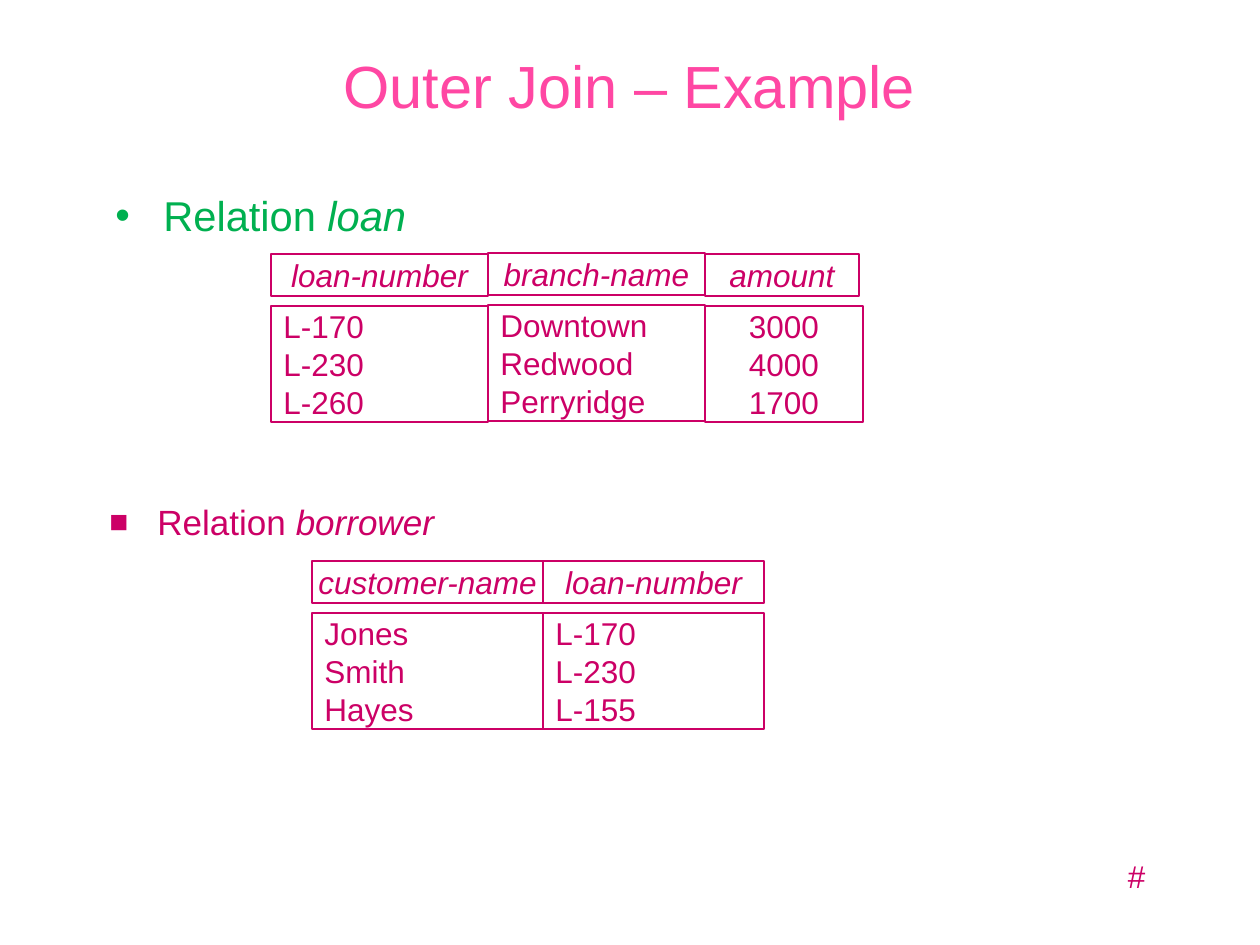
"""Build the outer join example slide with its two relations."""
from lxml.etree import SubElement
from pptx import Presentation
from pptx.dml.color import RGBColor
from pptx.enum.shapes import MSO_SHAPE as Shape
from pptx.enum.text import MSO_ANCHOR as Anchor, PP_ALIGN as Align
from pptx.oxml.ns import qn
from pptx.util import Pt

PX = 914400 / 126
ROSE, PINK, GREEN, WHITE = "CC0066", "FF47A3", "00B050", "FFFFFF"
LEFT, MID = Align.LEFT, Align.CENTER
HEAD_H, BODY_H, STEP = 42, 116, 52

TITLE = "Outer Join – Example"
BULLETS = [
    dict(at=(103, 184, 969, 67), name="loan", mark="•", part=100,
         color=GREEN, size=23.8, gap=7),
    dict(at=(97, 494, 969, 67), name="borrower", mark="■", part=90,
         color=ROSE, size=20, gap=8.8),
]
LOAN = [
    (271, 254, 217, 217, "loan-number", LEFT, ["L-170", "L-230", "L-260"]),
    (705, 254, 154, 158, "amount", MID, ["3000", "4000", "1700"]),
    (488, 253, 217, 217, "branch-name", LEFT,
     ["Downtown", "Redwood", "Perryridge"]),
]
BORROWER = [
    (312, 561, 231, 231, "customer-name", LEFT, ["Jones", "Smith", "Hayes"]),
    (543, 561, 221, 221, "loan-number", LEFT, ["L-170", "L-230", "L-155"]),
]


def rgb(code):
    return RGBColor.from_string(code)


def emu(*sizes):
    return [round(size * PX) for size in sizes]


def style(font, color, **form):
    font.color.rgb = rgb(color)
    for key, value in {"name": "Arial", **form}.items():
        setattr(font, key, value)


def add_cell(shapes, box, lines, align, italic=False):
    cell = shapes.add_shape(Shape.RECTANGLE, *emu(*box))
    cell.shadow.inherit = False
    cell.fill.solid()
    cell.fill.fore_color.rgb = rgb(WHITE)
    cell.line.color.rgb = rgb(ROSE)
    cell.line.width = Pt(0.75)
    frame = cell.text_frame
    frame.word_wrap = False
    frame.vertical_anchor = Anchor.MIDDLE
    frame.text = "\n".join(lines)
    for para in frame.paragraphs:
        para.alignment = align
        style(para.font, ROSE, size=Pt(18), italic=italic)


def add_bullet(shapes, at, name, mark, part, color, size, gap):
    frame = shapes.add_textbox(*emu(*at)).text_frame
    frame.word_wrap = True
    para = frame.paragraphs[0]
    props = para._p.get_or_add_pPr()
    indent = emu(48)[0]
    props.set("marL", str(indent))
    props.set("indent", str(-indent))
    tint = SubElement(props, qn("a:buClr"))
    SubElement(tint, qn("a:srgbClr"), val=color)
    SubElement(props, qn("a:buSzPct"), val=str(part * 1000))
    SubElement(props, qn("a:buFont"), typeface="Arial")
    SubElement(props, qn("a:buChar"), char=mark)
    para.space_before = Pt(gap)
    for text, italic in (("Relation ", False), (name, True)):
        run = para.add_run()
        run.text = text
        style(run.font, color, size=Pt(size), italic=italic)


def main():
    deck = Presentation()
    deck.slide_width, deck.slide_height = emu(1260, 945)
    slide = deck.slides.add_slide(deck.slide_layouts[5])
    shapes = slide.shapes

    title = shapes.title
    title.left, title.top, title.width, title.height = emu(94, 22, 1071, 126)
    title.text_frame.text = TITLE
    title.text_frame.vertical_anchor = Anchor.MIDDLE
    para = title.text_frame.paragraphs[0]
    para.alignment = MID
    style(para.runs[0].font, PINK, size=Pt(34))

    for bullet in BULLETS:
        add_bullet(shapes, **bullet)
    for x, y, head_w, body_w, head, align, rows in BORROWER + LOAN:
        add_cell(shapes, (x, y, head_w, HEAD_H), [head], MID, True)
        add_cell(shapes, (x, y + STEP, body_w, BODY_H), rows, align)

    number = shapes.add_textbox(*emu(1115, 851, 43, 50)).text_frame
    number.word_wrap = False
    number.text = "#"
    style(number.paragraphs[0].font, ROSE, size=Pt(18), italic=True)
    deck.save("out.pptx")


if __name__ == "__main__":
    main()
